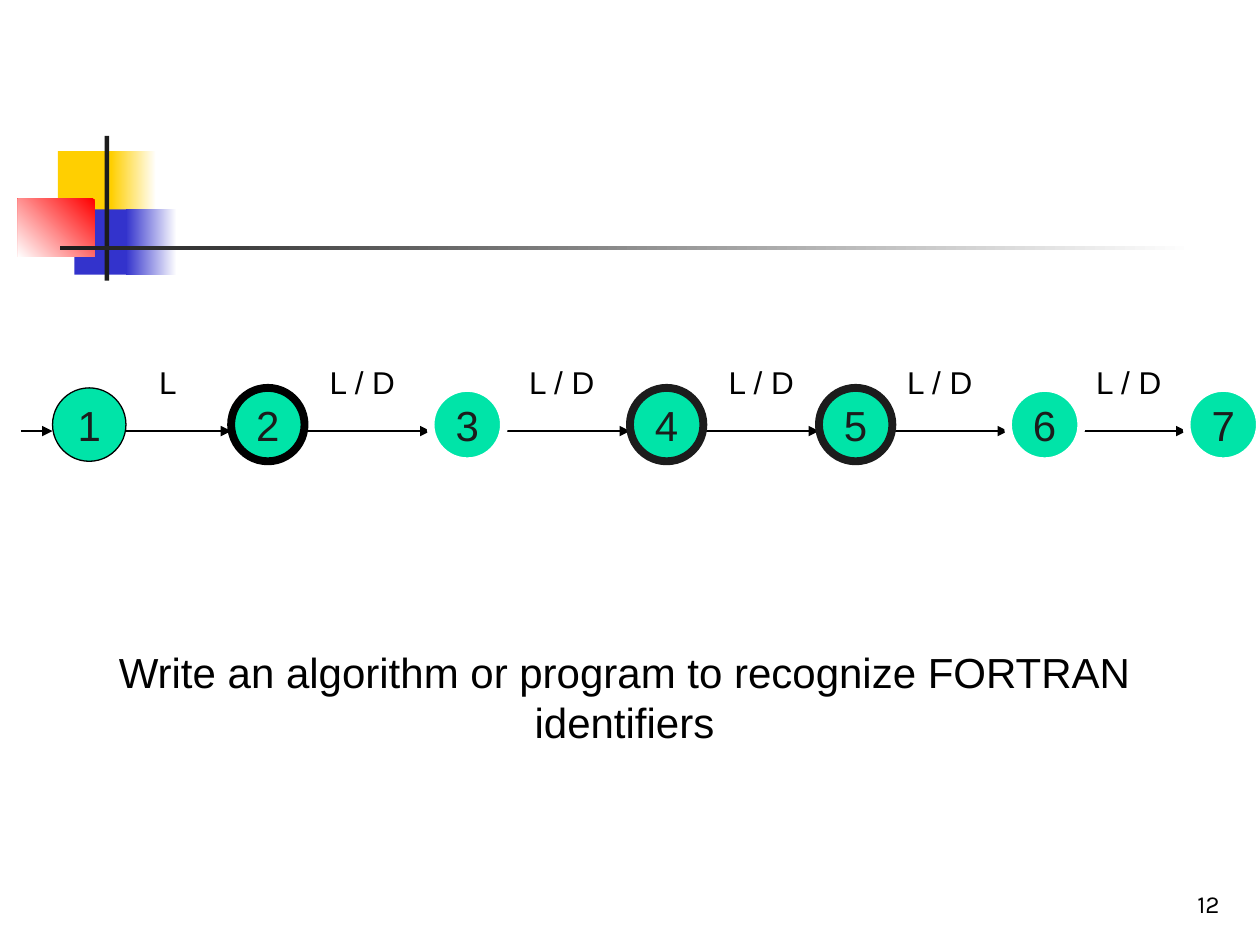
from dataclasses import dataclass

from lxml import etree
from pptx import Presentation
from pptx import util as u
from pptx.dml import color
from pptx.enum import shapes, text
from pptx.oxml import ns

Cm, Pt = u.Cm, u.Pt
ALIGN, KIND = text.PP_ALIGN, shapes.MSO_SHAPE
DARK, BLACK, WHITE, GREEN = "1C1C1C", "000000", "FFFFFF", "00E4A8"
SIZE, TOP, AXIS = 1.48, 7.82, 8.69  # state width, state top, arrow height


@dataclass
class Bar:
    """Part of the title ornament; two tones make a gradient."""
    x: float
    y: float
    w: float
    h: float
    tones: tuple[str, ...]
    angle: int = 180


@dataclass
class State:
    name: str
    x: float
    edge: str
    width: float = 4.5


@dataclass
class Label:
    """Text box with its type style."""
    words: str
    x: float
    y: float
    w: float
    h: float
    size: int = 18
    align: ALIGN = ALIGN.CENTER
    font: str = "Arial"
    fit: text.MSO_AUTO_SIZE = text.MSO_AUTO_SIZE.SHAPE_TO_FIT_TEXT
    anchor: text.MSO_ANCHOR = text.MSO_ANCHOR.TOP


def rgb(code: str) -> color.RGBColor:
    return color.RGBColor.from_string(code)


def apply(item, **values) -> None:
    for key, value in values.items():
        setattr(item, key, value)


def write(frame, words: str, size: int, tone: str, align=ALIGN.CENTER,
          font: str = "Arial") -> None:
    par = frame.paragraphs[0]
    par.alignment = align
    run = par.add_run()
    run.text = words
    apply(run.font, name=font, size=Pt(size))
    run.font.color.rgb = rgb(tone)


def draw_bar(slide, bar: Bar) -> None:
    box = slide.shapes.add_shape(
        KIND.RECTANGLE, Cm(bar.x), Cm(bar.y), Cm(bar.w), Cm(bar.h))
    box.shadow.inherit = False
    box.line.fill.background()
    if len(bar.tones) == 1:
        box.fill.solid()
        box.fill.fore_color.rgb = rgb(bar.tones[0])
        return
    box.fill.gradient()
    box.fill.gradient_angle = bar.angle
    for stop, tone in zip(box.fill.gradient_stops, bar.tones):
        stop.color.rgb = rgb(tone)


def draw_state(slide, state: State) -> None:
    disc = slide.shapes.add_shape(
        KIND.OVAL, Cm(state.x), Cm(TOP), Cm(SIZE), Cm(SIZE))
    disc.shadow.inherit = False
    disc.fill.solid()
    disc.fill.fore_color.rgb = rgb(GREEN)
    disc.line.color.rgb = rgb(state.edge)
    disc.line.width = Pt(state.width)
    apply(disc.text_frame, word_wrap=False,
          vertical_anchor=text.MSO_ANCHOR.MIDDLE)
    write(disc.text_frame, state.name, 24, DARK)


def draw_arrow(slide, start: float, end: float) -> None:
    arrow = slide.shapes.add_connector(
        shapes.MSO_CONNECTOR.STRAIGHT, Cm(start), Cm(AXIS), Cm(end), Cm(AXIS))
    arrow.line.color.rgb = rgb(BLACK)
    arrow.line.width = Pt(0.75)
    etree.SubElement(arrow.line._get_or_add_ln(), ns.qn("a:tailEnd"),
                     type="triangle")
    etree.SubElement(arrow._element.spPr, ns.qn("a:effectLst"))


def draw_label(slide, label: Label) -> None:
    box = slide.shapes.add_textbox(
        Cm(label.x), Cm(label.y), Cm(label.w), Cm(label.h))
    apply(box.text_frame, word_wrap=True, auto_size=label.fit,
          vertical_anchor=label.anchor)
    write(box.text_frame, label.words, label.size, BLACK, label.align,
          label.font)


BARS = [
    Bar(1.17, 3.05, 1.22, 1.32, ("FFCF01",)),
    Bar(2.24, 3.05, 0.91, 1.32, (WHITE, "FFCF01")),
    Bar(1.5, 4.22, 1.17, 1.32, ("3333CC",)),
    Bar(2.54, 4.22, 1.02, 1.32, (WHITE, "3333CC")),
    Bar(0.36, 4.01, 1.55, 1.17, ("FF0000", WHITE), 225),
    Bar(2.11, 2.74, 0.09, 2.92, (DARK,)),
    Bar(1.22, 4.95, 22.86, 0.09, (WHITE, DARK)),
]
STATES = [
    State("1", 1.06, BLACK, 0.75),
    State("2", 4.66, BLACK),
    State("3", 8.68, WHITE),
    State("4", 12.7, DARK),
    State("5", 16.51, DARK),
    State("6", 20.32, WHITE),
    State("7", 23.92, WHITE),
]
LABELS = [Label("L", 2.96, 7.2, 1.06, 1.02, align=ALIGN.LEFT)] + [
    Label("L / D", x, 7.2, 2.33, 1.02)
    for x in (6.14, 10.16, 14.18, 17.78, 21.59)
]
NOTES = [
    Label("Write an algorithm or program to recognize FORTRAN identifiers",
          0.42, 12.91, 24.34, 2.29, size=24),
    Label("12", 19.56, 17.36, 5.28, 1.27, 14, ALIGN.RIGHT, "Karla",
          text.MSO_AUTO_SIZE.NONE, text.MSO_ANCHOR.BOTTOM),
]


def main() -> None:
    deck = Presentation()
    apply(deck, slide_width=Cm(25.4), slide_height=Cm(19.05))
    slide = deck.slides.add_slide(deck.slide_layouts[6])

    # Title ornament
    for bar in BARS:
        draw_bar(slide, bar)

    # State diagram: the first two states lie under the arrows
    for state in STATES[:2]:
        draw_state(slide, state)
    draw_arrow(slide, 0.42, STATES[0].x)
    for left, right in zip(STATES, STATES[1:]):
        draw_arrow(slide, left.x + SIZE, right.x)
    for label in LABELS:
        draw_label(slide, label)
    for state in STATES[2:]:
        draw_state(slide, state)

    # Task and page number
    for label in NOTES:
        draw_label(slide, label)

    deck.save("out.pptx")


if __name__ == "__main__":
    main()
